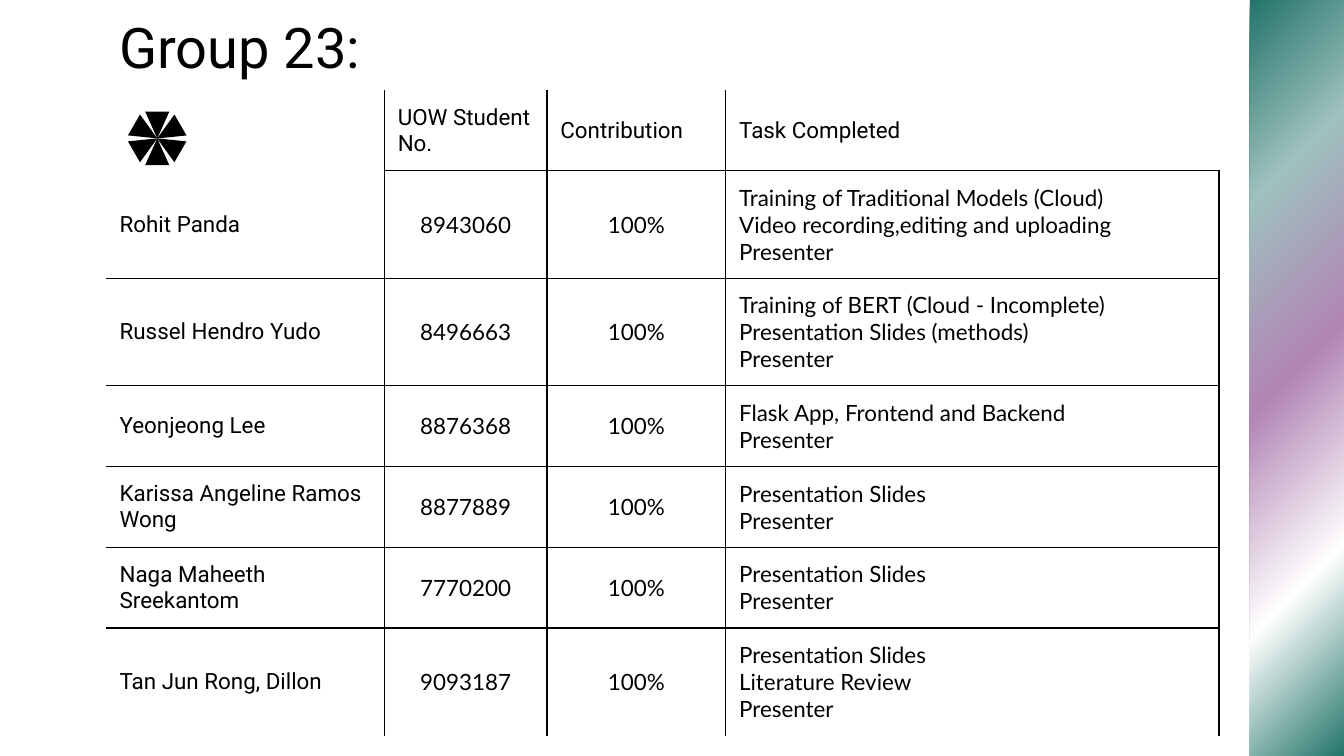
import math

from lxml import etree
from pptx import Presentation
from pptx.dml.color import RGBColor
from pptx.enum import shapes, text
from pptx.oxml import ns
from pptx.util import Inches, Pt

BLACK = "000000"
COLUMN_WIDTHS = [2.07, 1.21, 1.33, 3.67]
ROW_HEIGHTS = [0.58, 0.58, 0.78, 0.58, 0.6, 0.6, 0.78]
HEADER = ["", "UOW Student No.", "Contribution", "Task Completed"]
MEMBERS = [
    ("Rohit Panda", "8943060",
     "Training of Traditional Models (Cloud)\nVideo recording,editing and uploading\nPresenter"),
    ("Russel Hendro Yudo", "8496663",
     "Training of BERT (Cloud - Incomplete)\nPresentation Slides (methods)\nPresenter"),
    ("Yeonjeong Lee", "8876368", "Flask App, Frontend and Backend\nPresenter"),
    ("Karissa Angeline Ramos Wong", "8877889", "Presentation Slides\nPresenter"),
    ("Naga Maheeth Sreekantom", "7770200", "Presentation Slides\nPresenter"),
    ("Tan Jun Rong, Dillon", "9093187",
     "Presentation Slides\nLiterature Review\nPresenter"),
]
GRADIENT = [(0, "207368"), (24, "9EC0BE"), (49, "B185B4"), (75, "FFFFFF"), (100, "207368")]


def color(value):
    return RGBColor.from_string(value)


def set_font(paragraph, name, size):
    paragraph.font.name = name
    paragraph.font.size = Pt(size)
    paragraph.font.color.rgb = color(BLACK)


def add_plain_shape(parent, kind, left, top, width, height):
    shape = parent.add_shape(kind, Inches(left), Inches(top), Inches(width), Inches(height))
    shape.shadow.inherit = False
    shape.line.fill.background()
    return shape


def add_gradient_band(slide):
    band = add_plain_shape(slide.shapes, shapes.MSO_SHAPE.RECTANGLE, 9.3, -0.03, 0.7, 5.68)
    band.fill.gradient()
    gradient = band.fill._xPr.find(ns.qn("a:gradFill"))
    stops = gradient.find(ns.qn("a:gsLst"))
    for stop in list(stops):
        stops.remove(stop)
    for percent, value in GRADIENT:
        stop = etree.SubElement(stops, ns.qn("a:gs"), pos=str(percent * 1000))
        etree.SubElement(stop, ns.qn("a:srgbClr"), val=value)
    direction = gradient.find(ns.qn("a:lin"))
    direction.set("ang", str(45 * 60000))
    direction.set("scaled", "0")


def add_title(slide, words):
    box = slide.shapes.add_textbox(Inches(0.79), Inches(-0.01), Inches(8.43), Inches(0.63))
    frame = box.text_frame
    frame.word_wrap = True
    frame.margin_left = frame.margin_right = Inches(0.1)
    frame.margin_top = frame.margin_bottom = Inches(0.1)
    frame.text = words
    set_font(frame.paragraphs[0], "Roboto", 30)


def set_borders(cell, visible):
    """Draw the named edges of a cell and hide the others."""
    properties = cell._tc.get_or_add_tcPr()
    for index, edge in enumerate(["lnL", "lnR", "lnT", "lnB"]):
        line = etree.Element(ns.qn("a:" + edge), w=str(Pt(0.75)))
        if visible[edge]:
            fill = etree.SubElement(line, ns.qn("a:solidFill"))
            etree.SubElement(fill, ns.qn("a:srgbClr"), val=BLACK)
        else:
            etree.SubElement(line, ns.qn("a:noFill"))
        properties.insert(index, line)


def fill_cell(cell, words, font, centered):
    cell.fill.background()
    cell.vertical_anchor = text.MSO_ANCHOR.MIDDLE
    cell.margin_left = cell.margin_right = Inches(0.1)
    cell.margin_top = cell.margin_bottom = Inches(0.1)
    cell.text = words
    for paragraph in cell.text_frame.paragraphs:
        set_font(paragraph, font, 12)
        if centered:
            paragraph.alignment = text.PP_ALIGN.CENTER


def add_member_table(slide):
    rows = [HEADER] + [(name, number, "100%", tasks) for name, number, tasks in MEMBERS]
    frame = slide.shapes.add_table(len(rows), len(HEADER), Inches(0.79), Inches(0.67),
                                   Inches(sum(COLUMN_WIDTHS)), Inches(sum(ROW_HEIGHTS)))
    table = frame.table
    table.first_row = table.horz_banding = False
    for column, width in zip(table.columns, COLUMN_WIDTHS):
        column.width = Inches(width)
    last_row, last_column = len(rows) - 1, len(HEADER) - 1
    for r, values in enumerate(rows):
        table.rows[r].height = Inches(ROW_HEIGHTS[r])
        for c, words in enumerate(values):
            in_body = r > 0 and c > 0
            cell = table.cell(r, c)
            fill_cell(cell, words, "Lato" if in_body else "Roboto", in_body and c < last_column)
            set_borders(cell, {
                "lnL": c > 0,
                "lnR": c < last_column or r > 0,
                "lnT": r > 1 or in_body,
                "lnB": r < last_row and (r > 0 or c > 0),
            })


def add_pinwheel(slide, center_x, center_y):
    """Six triangles whose tips meet at the centre."""
    width, height = 0.18, 0.2
    group = slide.shapes.add_group_shape()
    for angle in range(0, 360, 60):
        x = center_x - height / 2 * math.sin(math.radians(angle))
        y = center_y + height / 2 * math.cos(math.radians(angle))
        blade = add_plain_shape(group.shapes, shapes.MSO_SHAPE.ISOSCELES_TRIANGLE,
                                x - width / 2, y - height / 2, width, height)
        blade.rotation = angle
        blade.fill.solid()
        blade.fill.fore_color.rgb = color(BLACK)


def main():
    presentation = Presentation()
    presentation.slide_width = Inches(10)
    presentation.slide_height = Inches(10 * 9 / 16)
    slide = presentation.slides.add_slide(presentation.slide_layouts[6])
    add_gradient_band(slide)
    add_title(slide, "Group 23:")
    add_member_table(slide)
    add_pinwheel(slide, 1.17, 1.03)
    presentation.save("out.pptx")


if __name__ == "__main__":
    main()
